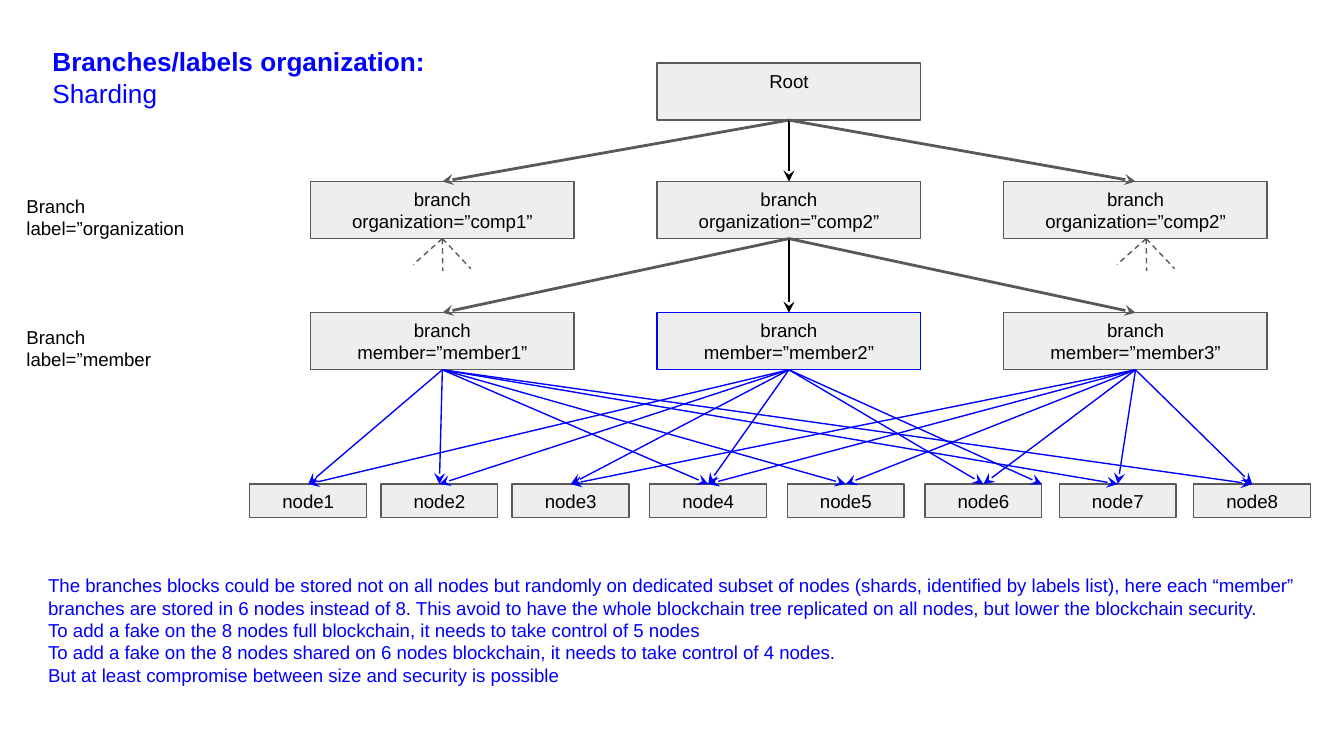
from dataclasses import dataclass
from itertools import accumulate

from lxml import etree
from pptx import Presentation
from pptx.dml.color import RGBColor
from pptx.enum.dml import MSO_LINE
from pptx.enum.shapes import MSO_CONNECTOR, MSO_SHAPE
from pptx.enum.text import MSO_ANCHOR, MSO_AUTO_SIZE, PP_ALIGN
from pptx.oxml.ns import qn
from pptx.util import Cm, Pt

RECTANGLE, STRAIGHT = MSO_SHAPE.RECTANGLE, MSO_CONNECTOR.STRAIGHT
TOP, MIDDLE = MSO_ANCHOR.TOP, MSO_ANCHOR.MIDDLE
LEFT, CENTER = PP_ALIGN.LEFT, PP_ALIGN.CENTER
DASH = MSO_LINE.DASH
TITLE_ONLY = 5
TOP_SITE, BOTTOM_SITE = 0, 2

BLACK, GREY, LIGHT, BLUE = "000000", "595959", "EEEEEE", "0000FF"
INSET = 0.25

# Tree grid, in centimetres
COLUMNS = [5.87 + 6.55 * i for i in range(3)]
ROOT_ROW, ORGANIZATION_ROW, MEMBER_ROW, NODE_ROW = 1.19, 3.43, 5.91, 9.15
BRANCH_WIDTH, BRANCH_HEIGHT = 4.98, 1.08
NODE_WIDTH, NODE_HEIGHT = 2.21, 0.63
NODE_LEFTS = list(accumulate([4.72, 2.48, 2.48, 2.6, 2.6, 2.6, 2.54, 2.54]))

# Nodes that store each member branch
SHARDS = [(1, 2, 4, 5, 7, 8), (1, 2, 3, 4, 6), (3, 4, 5, 6, 7, 8)]
FAN_CENTERS = [8.36, 21.66]
FAN_OFFSETS = [(-0.55, 0.49), (0.01, 0.61), (0.54, 0.57)]


@dataclass
class Block:
    """A box of the tree."""
    left: float
    top: float
    lines: list[str]
    width: float = BRANCH_WIDTH
    height: float = BRANCH_HEIGHT
    outline: str = GREY


@dataclass
class Note:
    """Free text beside or below the tree."""
    left: float
    top: float
    width: float
    height: float
    lines: list[str]
    color: str = BLACK


def rgb(color: str) -> RGBColor:
    return RGBColor.from_string(color)


def write(box, lines: list[str], color: str, size: float = 10, align=LEFT,
          anchor=TOP, inset_top: float = INSET) -> None:
    frame = box.text_frame
    frame_format = {
        "word_wrap": True, "auto_size": MSO_AUTO_SIZE.NONE,
        "vertical_anchor": anchor, "margin_top": Cm(inset_top),
        "margin_left": Cm(INSET), "margin_right": Cm(INSET),
        "margin_bottom": Cm(INSET),
    }
    for name, value in frame_format.items():
        setattr(frame, name, value)
    for index, line in enumerate(lines):
        para = frame.add_paragraph() if index else frame.paragraphs[0]
        para.alignment = align
        span = para.add_run()
        span.text = line
        for name, value in {"name": "Arial", "size": Pt(size), "bold": False}.items():
            setattr(span.font, name, value)
        span.font.color.rgb = rgb(color)


def add_block(page, block: Block, anchor=MIDDLE, inset_top: float = INSET):
    box = page.shapes.add_shape(RECTANGLE, Cm(block.left), Cm(block.top),
                                Cm(block.width), Cm(block.height))
    box.shadow.inherit = False
    box.fill.solid()
    box.fill.fore_color.rgb = rgb(LIGHT)
    box.line.color.rgb = rgb(block.outline)
    box.line.width = Pt(0.75)
    write(box, block.lines, BLACK, align=CENTER, anchor=anchor, inset_top=inset_top)
    return box


def add_note(page, note: Note) -> None:
    box = page.shapes.add_textbox(Cm(note.left), Cm(note.top),
                                  Cm(note.width), Cm(note.height))
    write(box, note.lines, note.color)


def add_line(page, start: tuple, end: tuple, color: str, weight: float = 0.75,
             arrow: bool = True):
    line = page.shapes.add_connector(STRAIGHT, *start, *end)
    line.line.color.rgb = rgb(color)
    line.line.width = Pt(weight)
    if arrow:
        outline = line.line._get_or_add_ln()
        etree.SubElement(outline, qn("a:tailEnd"), type="stealth")
    else:
        line.line.dash_style = DASH
    etree.SubElement(line._element.spPr, qn("a:effectLst"))
    return line


def bottom_center(box) -> tuple:
    return box.left + box.width // 2, box.top + box.height


def add_link(page, parent, child, color: str, weight: float = 0.75) -> None:
    end = child.left + child.width // 2, child.top
    line = add_line(page, bottom_center(parent), end, color, weight)
    line.begin_connect(parent, BOTTOM_SITE)
    line.end_connect(child, TOP_SITE)


deck = Presentation()
deck.slide_width, deck.slide_height = Cm(25.4), Cm(14.29)
page = deck.slides.add_slide(deck.slide_layouts[TITLE_ONLY])

# Title
title = page.shapes.title
place = {"left": 0.74, "top": 0.61, "width": 9.04, "height": 0.86}
for name, value in place.items():
    setattr(title, name, Cm(value))
write(title, ["Branches/labels organization:", "Sharding"], BLUE, size=14)
title.text_frame.paragraphs[0].runs[0].font.bold = True

# Boxes of the tree
root = add_block(page, Block(COLUMNS[1], ROOT_ROW, ["Root"]), TOP, 0.13)
organizations = [
    add_block(page, Block(left, ORGANIZATION_ROW, ["branch", f"organization=”{name}”"]))
    for left, name in zip(COLUMNS, ("comp1", "comp2", "comp2"))
]
members = [
    add_block(page, Block(left, MEMBER_ROW, ["branch", f"member=”member{number}”"],
                          outline=BLUE if number == 2 else GREY))
    for number, left in enumerate(COLUMNS, 1)
]
nodes = [
    add_block(page, Block(left, NODE_ROW, [f"node{number}"], NODE_WIDTH, NODE_HEIGHT))
    for number, left in enumerate(NODE_LEFTS, 1)
]

# Branch arrows, the middle one black
for parent, children in ((root, organizations), (organizations[1], members)):
    for child, color in zip(children, (GREY, BLACK, GREY)):
        add_link(page, parent, child, color, 1.5)

# Dashed fans for branches not drawn out
fan_top = ORGANIZATION_ROW + BRANCH_HEIGHT
for center in FAN_CENTERS:
    for across, down in FAN_OFFSETS:
        add_line(page, (Cm(center), Cm(fan_top)),
                 (Cm(center + across), Cm(fan_top + down)), GREY, arrow=False)

# Shard arrows; the last one ends at the corner of node6
for member, shard in zip(members, SHARDS):
    for number in shard:
        add_link(page, member, nodes[number - 1], BLUE)
corner = nodes[5].left + nodes[5].width, nodes[5].top
add_line(page, bottom_center(members[1]), corner, BLUE)

# Row labels and explanation
notes = [
    Note(0.25, ORGANIZATION_ROW, 3.71, BRANCH_HEIGHT, ["Branch label=”organization"]),
    Note(0.25, MEMBER_ROW, 3.71, BRANCH_HEIGHT, ["Branch label=”member"]),
    Note(0.66, 10.6, 24.1, 2.9, [
        "The branches blocks could be stored not on all nodes but randomly on dedicated "
        "subset of nodes (shards, identified by labels list), here each “member” branches "
        "are stored in 6 nodes instead of 8. This avoid to have the whole blockchain tree "
        "replicated on all nodes, but lower the blockchain security.",
        "To add a fake on the 8 nodes full blockchain, it needs to take control of 5 nodes",
        "To add a fake on the 8 nodes shared on 6 nodes blockchain, "
        "it needs to take control of 4 nodes.",
        "But at least compromise between size and security is possible",
    ], BLUE),
]
for note in notes:
    add_note(page, note)

deck.save("out.pptx")
